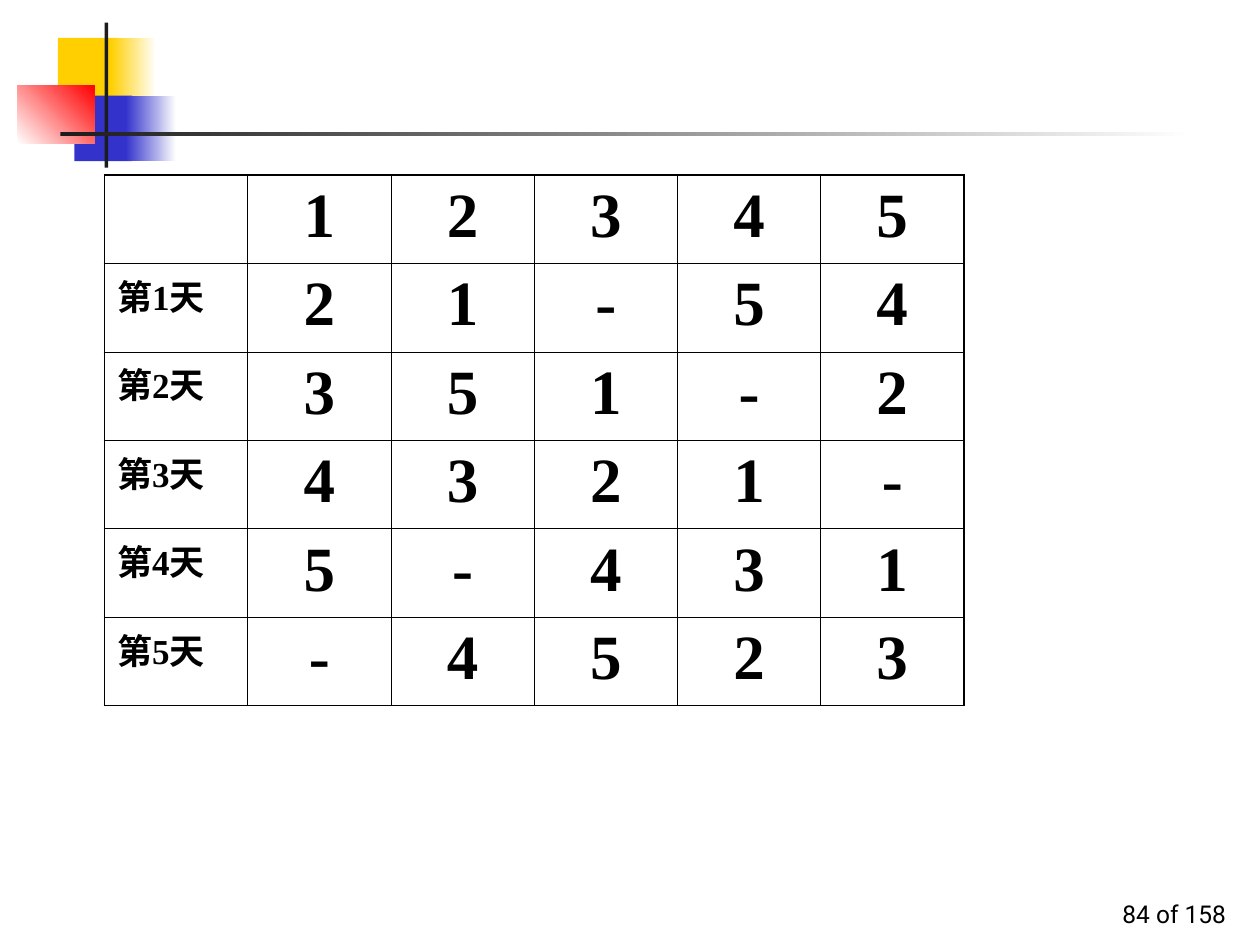
from lxml import etree
from pptx import Presentation
from pptx.dml.color import RGBColor
from pptx.enum.shapes import MSO_SHAPE
from pptx.enum.text import MSO_ANCHOR, PP_ALIGN
from pptx.oxml.ns import qn
from pptx.util import Inches, Pt

RECTANGLE = MSO_SHAPE.RECTANGLE
BOTTOM = MSO_ANCHOR.BOTTOM
LEFT, CENTER, RIGHT = PP_ALIGN.LEFT, PP_ALIGN.CENTER, PP_ALIGN.RIGHT

COLORS = {
    "white": "FFFFFF",
    "black": "000000",
    "yellow": "FFCF01",
    "blue": "3333CC",
    "red": "FF0000",
    "charcoal": "1C1C1C",
}
THIN, THICK = Pt(0.45), Pt(1.08)

SCHEDULE = [
    ["", "1", "2", "3", "4", "5"],
    ["第1天", "2", "1", "-", "5", "4"],
    ["第2天", "3", "5", "1", "-", "2"],
    ["第3天", "4", "3", "2", "1", "-"],
    ["第4天", "5", "-", "4", "3", "1"],
    ["第5天", "-", "4", "5", "2", "3"],
]


def rgb(name):
    return RGBColor.from_string(COLORS[name])


def style_paragraph(para, font_name, size, alignment, bold=False):
    para.alignment = alignment
    para.font.name = font_name
    para.font.size = Pt(size)
    para.font.bold = bold
    para.font.color.rgb = rgb("black")


def add_block(page, left, top, width, height, colors, angle=0):
    block = page.shapes.add_shape(
        RECTANGLE, Inches(left), Inches(top), Inches(width), Inches(height)
    )
    block.shadow.inherit = False
    block.line.fill.background()
    if len(colors) == 1:
        block.fill.solid()
        block.fill.fore_color.rgb = rgb(colors[0])
        return
    block.fill.gradient()
    block.fill.gradient_angle = angle
    for stop, color in zip(block.fill.gradient_stops, colors):
        stop.color.rgb = rgb(color)


def add_ornament(page, left, top):
    blocks = [
        (0.32, 0.12, 0.48, 0.52, ["yellow"], 0),
        (0.74, 0.12, 0.36, 0.52, ["yellow", "white"], 0),
        (0.45, 0.58, 0.46, 0.52, ["blue"], 0),
        (0.86, 0.58, 0.4, 0.52, ["blue", "white"], 0),
        (0, 0.5, 0.61, 0.46, ["white", "red"], 45),
        (0.69, 0, 0.03, 1.15, ["charcoal"], 0),
        (0.34, 0.87, 9, 0.03, ["charcoal", "white"], 0),
    ]
    for x, y, width, height, colors, angle in blocks:
        add_block(page, left + x, top + y, width, height, colors, angle)


def add_page_number(page, left, top, width, height):
    box = page.shapes.add_textbox(
        Inches(left), Inches(top), Inches(width), Inches(height)
    )
    frame = box.text_frame
    frame.word_wrap = True
    frame.vertical_anchor = BOTTOM
    frame.text = "84 of 158"
    style_paragraph(frame.paragraphs[0], "Roboto", 14, RIGHT)


def set_border(cell, side, width):
    properties = cell._tc.get_or_add_tcPr()
    line = etree.SubElement(properties, qn(f"a:ln{side}"), w=str(int(width)))
    fill = etree.SubElement(line, qn("a:solidFill"))
    etree.SubElement(fill, qn("a:srgbClr"), val=COLORS["black"])


def add_schedule(page, left, top, width, height):
    row_count, column_count = len(SCHEDULE), len(SCHEDULE[0])
    table = page.shapes.add_table(
        row_count, column_count,
        Inches(left), Inches(top), Inches(width), Inches(height),
    ).table
    table.first_row = False
    table.horz_banding = False
    for r, values in enumerate(SCHEDULE):
        for c, value in enumerate(values):
            cell = table.cell(r, c)
            outer_sides = {
                "L": c == 0,
                "R": c == column_count - 1,
                "T": r == 0,
                "B": r == row_count - 1,
            }
            for side, is_outer in outer_sides.items():
                set_border(cell, side, THICK if is_outer else THIN)
            cell.fill.background()
            cell.text = value
            size, alignment = (20, LEFT) if c == 0 else (36, CENTER)
            style_paragraph(
                cell.text_frame.paragraphs[0],
                "Times New Roman", size, alignment, bold=True,
            )


def main():
    deck = Presentation()
    deck.slide_width, deck.slide_height = Inches(10), Inches(7.5)
    page = deck.slides.add_slide(deck.slide_layouts[6])
    add_ornament(page, 0.14, 0.18)
    add_page_number(page, 7.75, 6.92, 2.08, 0.5)
    add_schedule(page, 0.83, 1.39, 6.82, 4.21)
    deck.save("out.pptx")


if __name__ == "__main__":
    main()
